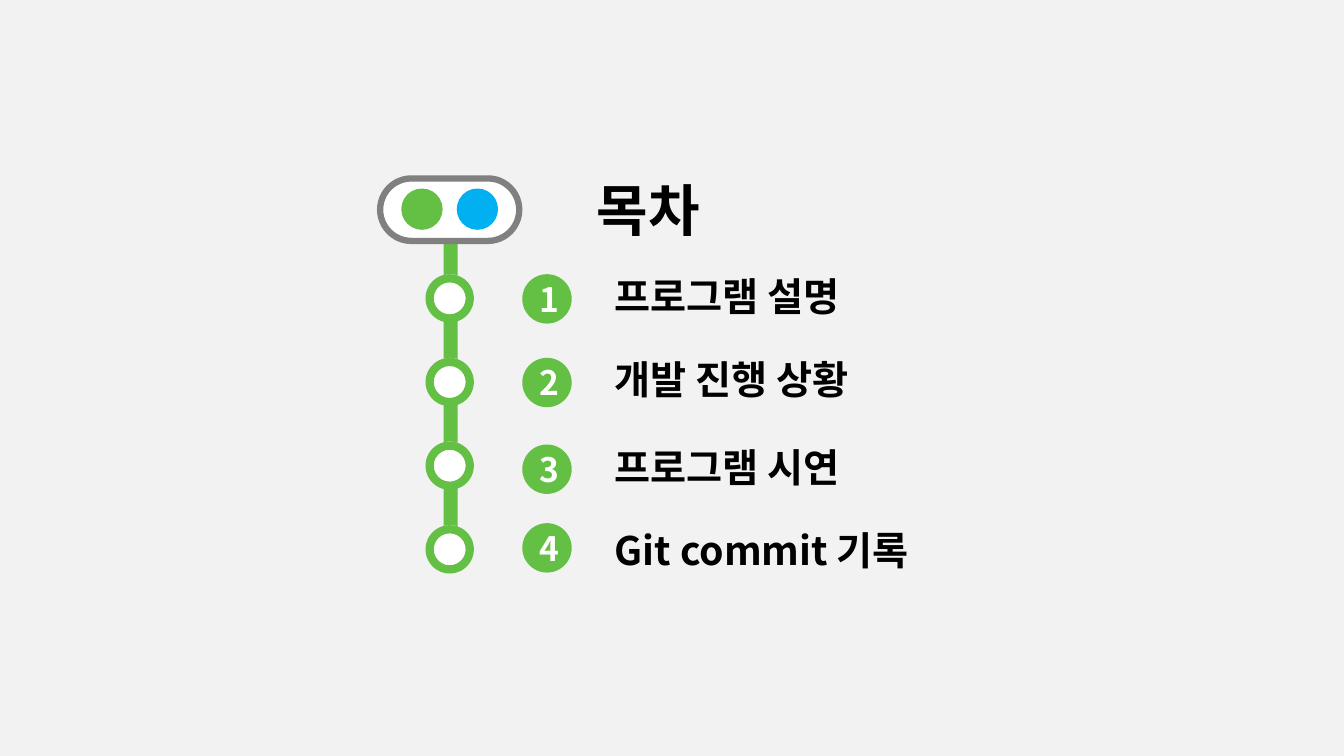
from lxml.etree import SubElement
from pptx import Presentation
from pptx.dml.color import RGBColor
from pptx.enum.shapes import MSO_SHAPE
from pptx.enum.text import MSO_ANCHOR, MSO_AUTO_SIZE, PP_ALIGN
from pptx.oxml.ns import qn
from pptx.util import Inches, Pt

FONT = "Noto Sans CJK KR"
GREEN, BLUE, GRAY = "64C044", "00B0F0", "808080"
BLACK, WHITE, BACKGROUND = "000000", "FFFFFF", "F2F2F2"
TOPICS = [
    ("프로그램 설명", 2.65, 2.72),
    ("개발 진행 상황", 3.48, 3.55),
    ("프로그램 시연", 4.35, 4.41),
    ("Git commit 기록", 5.17, 5.19),
]
STATION_TOP, STATION_STEP = 2.72, 0.83


def color(value):
    """Turn a hex string into a colour."""
    return RGBColor.from_string(value)


def write_text(shape, text, size=28, fill=BLACK, align=PP_ALIGN.LEFT, anchor=MSO_ANCHOR.TOP):
    """Write one bold paragraph into a shape."""
    frame = shape.text_frame
    frame.text = text
    frame.word_wrap = True
    frame.vertical_anchor = anchor
    paragraph = frame.paragraphs[0]
    paragraph.alignment = align
    run = paragraph.runs[0]
    run.font.name = FONT
    run.font.size = Pt(size)
    run.font.bold = True
    run.font.color.rgb = color(fill)
    SubElement(run.font._element, qn("a:ea"), typeface=FONT)


def add_figure(slide, kind, left, top, width, height, fill, line=None, adjustment=None):
    """Add a filled preset shape without shadow."""
    shape = slide.shapes.add_shape(kind, Inches(left), Inches(top), Inches(width), Inches(height))
    shape.shadow.inherit = False
    shape.fill.solid()
    shape.fill.fore_color.rgb = color(fill)
    if line:
        shape.line.color.rgb = color(line)
        shape.line.width = Pt(4.5)
    else:
        shape.line.fill.background()
    if adjustment is not None:
        shape.adjustments[0] = adjustment
    return shape


def add_title(slide, text):
    """Place and fill the title placeholder."""
    title = slide.shapes.title
    title.left, title.top = Inches(5.82), Inches(1.69)
    title.width, title.height = Inches(1.34), Inches(0.77)
    write_text(title, text, size=40)
    title.text_frame.auto_size = MSO_AUTO_SIZE.SHAPE_TO_FIT_TEXT


def add_topic(slide, number, text, text_top, badge_top):
    """Add a numbered badge with its topic."""
    badge = add_figure(slide, MSO_SHAPE.OVAL, 5.18, badge_top, 0.49, 0.49, GREEN)
    write_text(badge, str(number), size=24, fill=WHITE, align=PP_ALIGN.CENTER, anchor=MSO_ANCHOR.MIDDLE)
    box = slide.shapes.add_textbox(Inches(6), Inches(text_top), Inches(4.43), Inches(0.57))
    write_text(box, text)
    box.text_frame.auto_size = MSO_AUTO_SIZE.SHAPE_TO_FIT_TEXT


def add_station(slide, top):
    """Add a ring with the track leading to it."""
    add_figure(slide, MSO_SHAPE.RECTANGLE, 4.4, top - 0.56, 0.14, 0.78, GREEN)
    add_figure(slide, MSO_SHAPE.OVAL, 4.25, top, 0.43, 0.43, WHITE)
    add_figure(slide, MSO_SHAPE.DONUT, 4.22, top, 0.48, 0.48, GREEN, adjustment=0.17)


def add_signal(slide):
    """Add the capsule with two lights."""
    add_figure(slide, MSO_SHAPE.ROUNDED_RECTANGLE, 3.77, 1.77, 1.38, 0.62, WHITE, line=GRAY, adjustment=0.5)
    for left, fill in [(3.98, GREEN), (4.53, BLUE)]:
        add_figure(slide, MSO_SHAPE.OVAL, left, 1.87, 0.41, 0.41, fill)


def main():
    """Build and save the contents slide."""
    presentation = Presentation()
    presentation.slide_width, presentation.slide_height = Inches(13.33), Inches(7.5)
    slide = presentation.slides.add_slide(presentation.slide_layouts[5])
    slide.background.fill.solid()
    slide.background.fill.fore_color.rgb = color(BACKGROUND)
    add_title(slide, "목차")
    for number, topic in enumerate(TOPICS, start=1):
        add_topic(slide, number, *topic)
    for index in reversed(range(len(TOPICS))):
        add_station(slide, STATION_TOP + index * STATION_STEP)
    add_signal(slide)
    presentation.save("out.pptx")


main()
